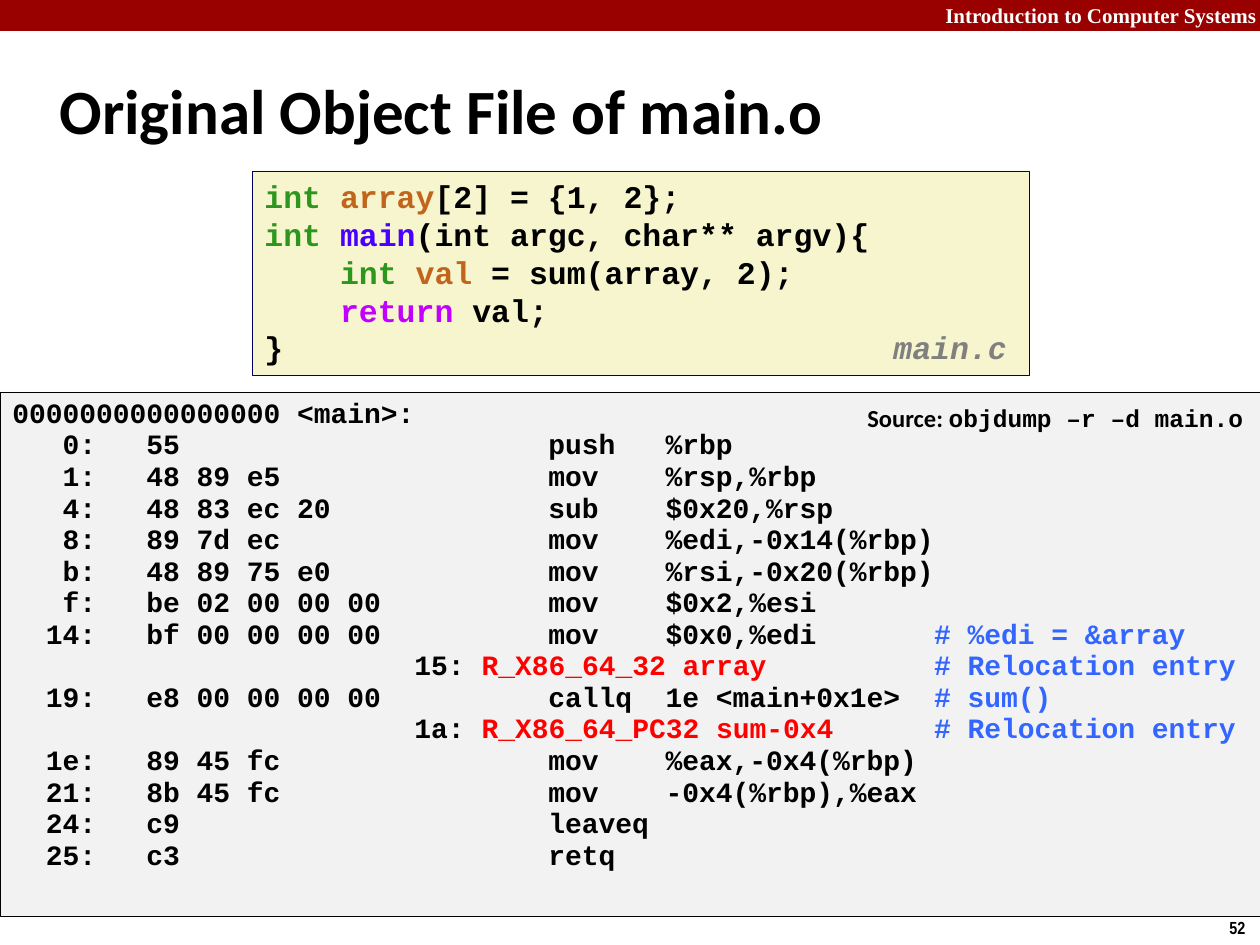
"""Build the slide on the original object file of main.o."""
import dataclasses
from typing import NamedTuple

import pptx
import pptx.dml.color
import pptx.enum.shapes
import pptx.enum.text
import pptx.util

EMU_PER_PX = 914400 / 126
CODE_FONT = "Courier New"
ALIGN = pptx.enum.text.PP_ALIGN
COLORS = {
    "banner": "990000", "white": "FFFFFF", "black": "000000",
    "source_fill": "F7F5CD", "source_line": "000066", "listing_fill": "F2F2F2",
    "type": "2D961E", "variable": "C1651C", "function": "4A00FF",
    "keyword": "C200FF", "file": "808080", "comment": "3366FF", "relocation": "FF0000",
}


class Span(NamedTuple):
    text: str
    color: str = "black"
    font: str = CODE_FONT
    italic: bool = False


class Area(NamedTuple):
    left: int
    top: int
    width: int
    height: int


@dataclasses.dataclass
class Label:
    area: Area
    spans: list[Span]
    size: int
    spacing: float = 1.0
    align: ALIGN = ALIGN.LEFT
    wrap: bool = False


@dataclasses.dataclass
class Instruction:
    offset: str
    code: str
    operation: str
    operands: str = ""
    comment: str = ""

    def spans(self) -> list[Span]:
        start = f"{self.offset:>4}:   {self.code:<24}{self.operation:<7}"
        if not self.comment:
            return [Span((start + self.operands).rstrip())]
        return [Span(f"{start}{self.operands:<16}"), Span(self.comment, "comment")]


@dataclasses.dataclass
class Relocation:
    offset: str
    entry: str

    def spans(self) -> list[Span]:
        return [Span(f"{self.offset:>26}: "), Span(f"{self.entry:<27}", "relocation"),
                Span("# Relocation entry", "comment")]


SOURCE_CODE = [
    [Span("int ", "type"), Span("array", "variable"), Span("[2] = {1, 2};")],
    [Span("int ", "type"), Span("main", "function"), Span("(int argc, char** argv){")],
    [Span("    "), Span("int ", "type"), Span("val", "variable"), Span(" = sum(array, 2);")],
    [Span("    "), Span("return", "keyword"), Span(" val;")],
    [Span("}")],
]
DISASSEMBLY = [
    Instruction("0", "55", "push", "%rbp"),
    Instruction("1", "48 89 e5", "mov", "%rsp,%rbp"),
    Instruction("4", "48 83 ec 20", "sub", "$0x20,%rsp"),
    Instruction("8", "89 7d ec", "mov", "%edi,-0x14(%rbp)"),
    Instruction("b", "48 89 75 e0", "mov", "%rsi,-0x20(%rbp)"),
    Instruction("f", "be 02 00 00 00", "mov", "$0x2,%esi"),
    Instruction("14", "bf 00 00 00 00", "mov", "$0x0,%edi", "# %edi = &array"),
    Relocation("15", "R_X86_64_32 array"),
    Instruction("19", "e8 00 00 00 00", "callq", "1e <main+0x1e>", "# sum()"),
    Relocation("1a", "R_X86_64_PC32 sum-0x4"),
    Instruction("1e", "89 45 fc", "mov", "%eax,-0x4(%rbp)"),
    Instruction("21", "8b 45 fc", "mov", "-0x4(%rbp),%eax"),
    Instruction("24", "c9", "leaveq"),
    Instruction("25", "c3", "retq"),
]
BANNER_LABEL = Label(
    Area(756, -4, 513, 38),
    [Span("Introduction to Computer Systems", "white", "Times New Roman")],
    12, align=ALIGN.RIGHT, wrap=True)
PAGE_LABEL = Label(Area(1217, 911, 43, 34), [Span("52", font="Arial Narrow")], 10)
FILE_LABEL = Label(Area(881, 325, 147, 49), [Span("main.c", "file", italic=True)], 18, 0.94)
COMMAND_LABEL = Label(
    Area(855, 398, 405, 43),
    [Span("Source: ", font="Calibri"), Span("objdump –r –d main.o")], 14, 0.98)


def px(length: int) -> pptx.util.Emu:
    return pptx.util.Emu(round(length * EMU_PER_PX))


def rgb(name: str) -> pptx.dml.color.RGBColor:
    return pptx.dml.color.RGBColor.from_string(COLORS[name])


def write(frame, lines: list[list[Span]], size: int, spacing: float = 1.0,
          align: ALIGN = ALIGN.LEFT) -> None:
    for index, spans in enumerate(lines):
        para = frame.add_paragraph() if index else frame.paragraphs[0]
        para.alignment = align
        para.line_spacing = spacing
        for span in spans:
            run = para.add_run()
            run.text = span.text
            run.font.name = span.font
            run.font.size = pptx.util.Pt(size)
            run.font.bold = True
            run.font.italic = span.italic
            run.font.color.rgb = rgb(span.color)


def add_label(slide, label: Label) -> None:
    frame = slide.shapes.add_textbox(*map(px, label.area)).text_frame
    frame.word_wrap = label.wrap
    write(frame, [label.spans], label.size, label.spacing, label.align)


def add_panel(slide, area: Area, fill: str, line: str | None = None):
    panel = slide.shapes.add_shape(pptx.enum.shapes.MSO_SHAPE.RECTANGLE, *map(px, area))
    panel.shadow.inherit = False
    panel.fill.solid()
    panel.fill.fore_color.rgb = rgb(fill)
    if line:
        panel.line.color.rgb = rgb(line)
        panel.line.width = pptx.util.Pt(0.25)
    else:
        panel.line.fill.background()
    panel.text_frame.vertical_anchor = pptx.enum.text.MSO_ANCHOR.TOP
    return panel


def set_title(slide, area: Area, text: str) -> None:
    title = slide.shapes.title
    title.left, title.top, title.width, title.height = map(px, area)
    title.text_frame.auto_size = pptx.enum.text.MSO_AUTO_SIZE.NONE
    title.text_frame.vertical_anchor = pptx.enum.text.MSO_ANCHOR.MIDDLE
    write(title.text_frame, [[Span(text, font="Calibri")]], 36, 0.82)


def main() -> None:
    deck = pptx.Presentation()
    deck.slide_width, deck.slide_height = px(1260), px(945)
    page = deck.slides.add_slide(deck.slide_layouts[5])
    add_panel(page, Area(0, 0, 1260, 31), "banner")
    add_label(page, BANNER_LABEL)
    add_label(page, PAGE_LABEL)
    set_title(page, Area(47, 62, 1200, 108), "Original Object File of main.o")
    source = add_panel(page, Area(252, 171, 777, 204), "source_fill", "source_line")
    write(source.text_frame, SOURCE_CODE, 18)
    add_label(page, FILE_LABEL)
    listing = add_panel(page, Area(0, 392, 1260, 524), "listing_fill", "black")
    heading = [Span("0000000000000000 <main>:")]
    write(listing.text_frame, [heading] + [entry.spans() for entry in DISASSEMBLY], 16, 0.94)
    add_label(page, COMMAND_LABEL)
    deck.save("out.pptx")


if __name__ == "__main__":
    main()
